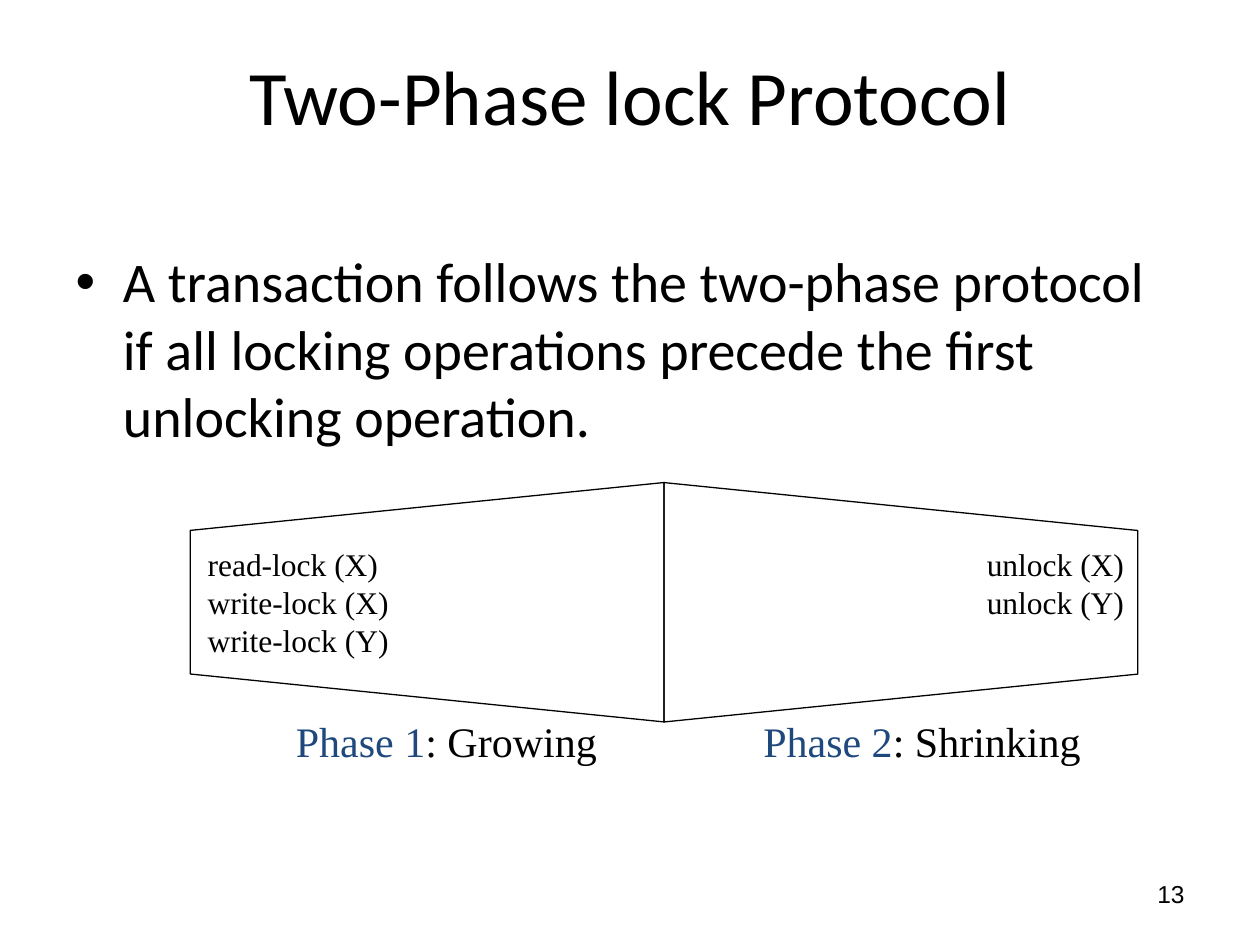
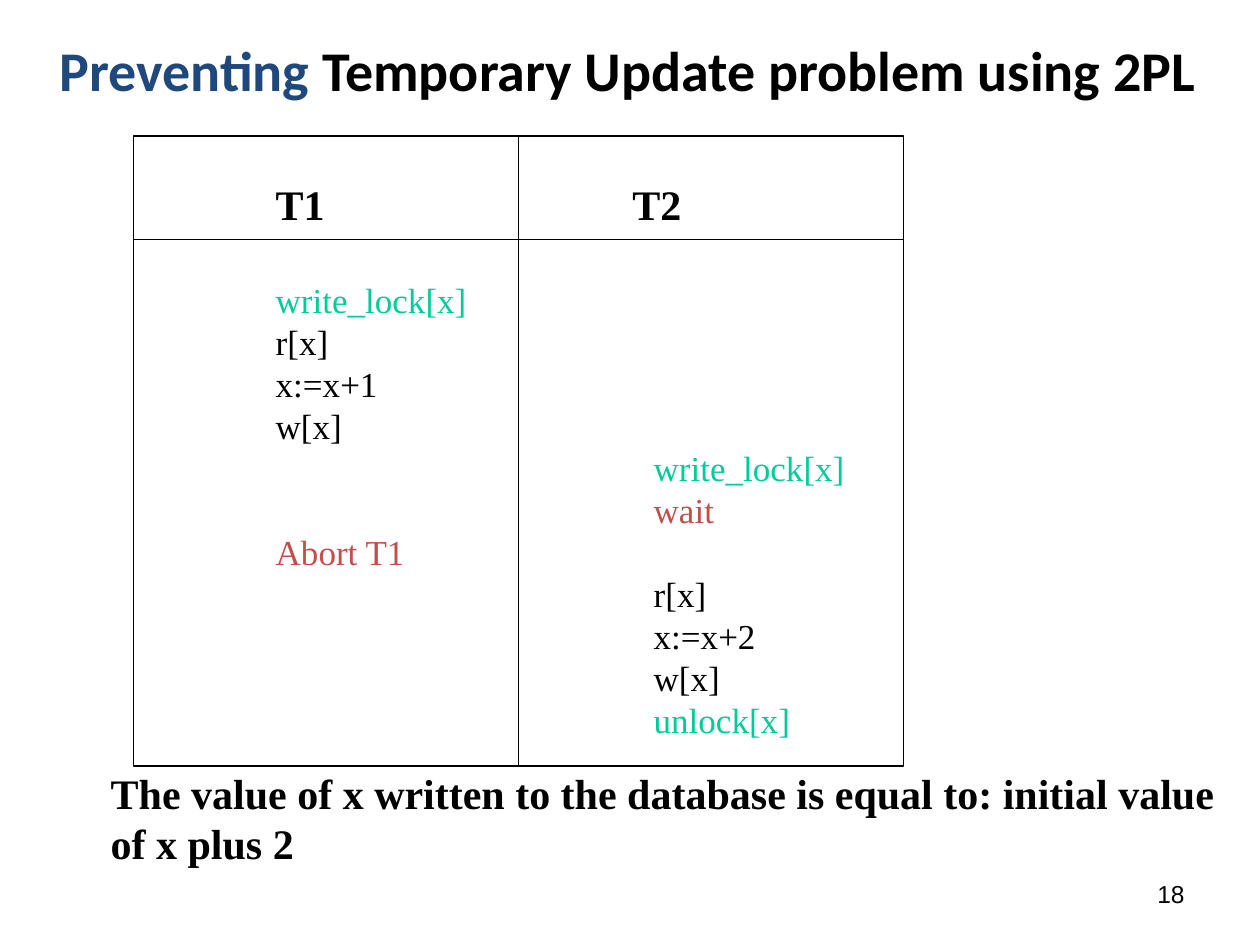
from lxml.etree import SubElement
from pptx import Presentation
from pptx.dml.color import RGBColor
from pptx.enum.shapes import MSO_CONNECTOR, MSO_SHAPE
from pptx.enum.text import MSO_ANCHOR, PP_ALIGN
from pptx.oxml.ns import qn
from pptx.util import Inches, Pt

COLORS = {"text": "000000", "accent": "1F497D", "lock": "00CC99", "stop": "C0504D"}
SANS, SERIF, NUMBER_FONT = "Calibri", "Times New Roman", "Arial"
LEFT, CENTER, RIGHT = PP_ALIGN.LEFT, PP_ALIGN.CENTER, PP_ALIGN.RIGHT

# Content: a paragraph is a list of (text, colour name) runs
PROTOCOL = {
    "number": "13",
    "title": [("Two-Phase lock Protocol", "text")],
    "definition": [("A transaction follows the two-phase protocol if all locking "
                    "operations precede the first unlocking operation.", "text")],
}
# Name, meaning, label box, operations, operations box, alignment, rotation
PHASES = [
    ("Phase 1", ": Growing", (2.25, 5.63, 2.59, 0.5),
     ["read-lock (X)", "write-lock (X)", "write-lock (Y)"],
     (1.55, 4.28, 1.64, 1), LEFT, 90),
    ("Phase 2", ": Shrinking", (5.96, 5.63, 2.72, 0.5),
     ["unlock (X)", "unlock (Y)"],
     (7.73, 4.28, 1.29, 0.7), RIGHT, 270),
]
UPDATE = {
    "number": "18",
    "title": [("Preventing", "accent"),
              (" Temporary Update problem using 2PL", "text")],
    "result": [("The value of x written to the database is equal to: "
                "initial value of x plus 2", "text")],
}
# Each step in time order: T1 operation, T2 operation, colour
STEPS = [
    ("write_lock[x]", "", "lock"),
    ("r[x]", "", "text"),
    ("x:=x+1", "", "text"),
    ("w[x]", "", "text"),
    ("", "write_lock[x]", "lock"),
    ("", "wait", "stop"),
    ("Abort T1", "", "stop"),
    ("", "r[x]", "text"),
    ("", "x:=x+2", "text"),
    ("", "w[x]", "text"),
    ("", "unlock[x]", "lock"),
]


def rgb(name):
    return RGBColor.from_string(COLORS[name])


def write(tf, paragraphs, size, font=SERIF, bold=False, align=LEFT):
    """Fill a text frame and return its paragraphs."""
    for i, runs in enumerate(paragraphs):
        p = tf.paragraphs[0] if i == 0 else tf.add_paragraph()
        p.alignment = align
        p.font.size, p.font.name, p.font.bold = Pt(size), font, bold
        for text, color in runs:
            r = p.add_run()
            r.text = text
            r.font.color.rgb = rgb(color)
    return tf.paragraphs


def add_text(s, box, paragraphs, size, wrap=True, anchor=MSO_ANCHOR.TOP, **style):
    tf = s.shapes.add_textbox(*map(Inches, box)).text_frame
    tf.word_wrap = wrap
    tf.vertical_anchor = anchor
    return write(tf, paragraphs, size, **style)


def fill_placeholder(sp, box, runs, size, anchor, **style):
    sp.left, sp.top, sp.width, sp.height = map(Inches, box)
    sp.text_frame.vertical_anchor = anchor
    write(sp.text_frame, [runs], size, font=SANS, **style)


def add_outline(s, preset, box):
    sp = s.shapes.add_shape(preset, *map(Inches, box))
    sp.shadow.inherit = False
    sp.fill.background()
    sp.line.color.rgb = rgb("text")
    sp.line.width = Pt(0.75)
    return sp


def add_rule(s, x1, y1, x2, y2):
    line = s.shapes.add_connector(MSO_CONNECTOR.STRAIGHT,
                                  *map(Inches, (x1, y1, x2, y2)))
    line.line.color.rgb = rgb("text")
    line.line.width = Pt(0.75)
    SubElement(line._element.spPr, qn("a:effectLst"))
    return line


def set_tab(p, inches):
    tabs = SubElement(p._p.get_or_add_pPr(), qn("a:tabLst"))
    SubElement(tabs, qn("a:tab"), pos=str(Inches(inches)), algn="l")


def new_slide(prs, layout, number):
    s = prs.slides.add_slide(prs.slide_layouts[layout])
    add_text(s, (7.17, 6.83, 2.33, 0.52), [[(number, "text")]], 14,
             anchor=MSO_ANCHOR.MIDDLE, font=NUMBER_FONT, align=RIGHT)
    return s


def build_protocol(prs):
    s = new_slide(prs, 1, PROTOCOL["number"])
    fill_placeholder(s.shapes.title, (0.5, 0.25, 9, 1), PROTOCOL["title"], 44,
                     MSO_ANCHOR.MIDDLE, align=CENTER)
    fill_placeholder(s.placeholders[1], (0.5, 1.91, 9, 1.9),
                     PROTOCOL["definition"], 32, MSO_ANCHOR.TOP)

    # Two trapezoids turned so their wide sides meet
    left, middle, width, height = 1.51, 4.78, 3.76, 1.9
    for i, (name, meaning, label_box, ops, ops_box, align, turn) in enumerate(PHASES):
        center = left + (i + 0.5) * width
        trapezoid = add_outline(
            s, MSO_SHAPE.FLOWCHART_MANUAL_OPERATION,
            (center - height / 2, middle - width / 2, height, width))
        trapezoid.rotation = turn
        add_text(s, label_box, [[(name, "accent"), (meaning, "text")]], 24, wrap=False)
        add_text(s, ops_box, [[(op, "text")] for op in ops], 18, wrap=False, align=align)


def build_update(prs):
    s = new_slide(prs, 5, UPDATE["number"])
    fill_placeholder(s.shapes.title, (0.37, 0.23, 9.4, 0.97), UPDATE["title"], 32,
                     MSO_ANCHOR.TOP, bold=True, align=LEFT)

    # Schedule: a tab stop starts the T2 column
    rows = [[("T1\tT2", "text")]]
    rows += [[(f"{t1}\t{t2}" if t2 else t1, color)] for t1, t2, color in STEPS]
    header, *steps = add_text(s, (2.09, 1.37, 6.33, 4.61), rows, 20)
    header.font.size, header.font.bold = Pt(24), True
    steps[0].space_before = Pt(28)
    set_tab(header, 2.83)
    for p in steps:
        set_tab(p, 3)

    # Frame with a column rule and a header rule
    x, y, width, height = 1.06, 1.08, 6.11, 5
    add_outline(s, MSO_SHAPE.RECTANGLE, (x, y, width, height))
    add_rule(s, x + width / 2, y, x + width / 2, y + height)
    add_rule(s, x, 1.9, x + width, 1.9)

    add_text(s, (0.78, 6.04, 9.22, 0.9), [UPDATE["result"]], 24, bold=True)


def main():
    prs = Presentation()
    prs.slide_width, prs.slide_height = Inches(10), Inches(7.5)
    build_protocol(prs)
    build_update(prs)
    prs.save("out.pptx")


if __name__ == "__main__":
    main()
